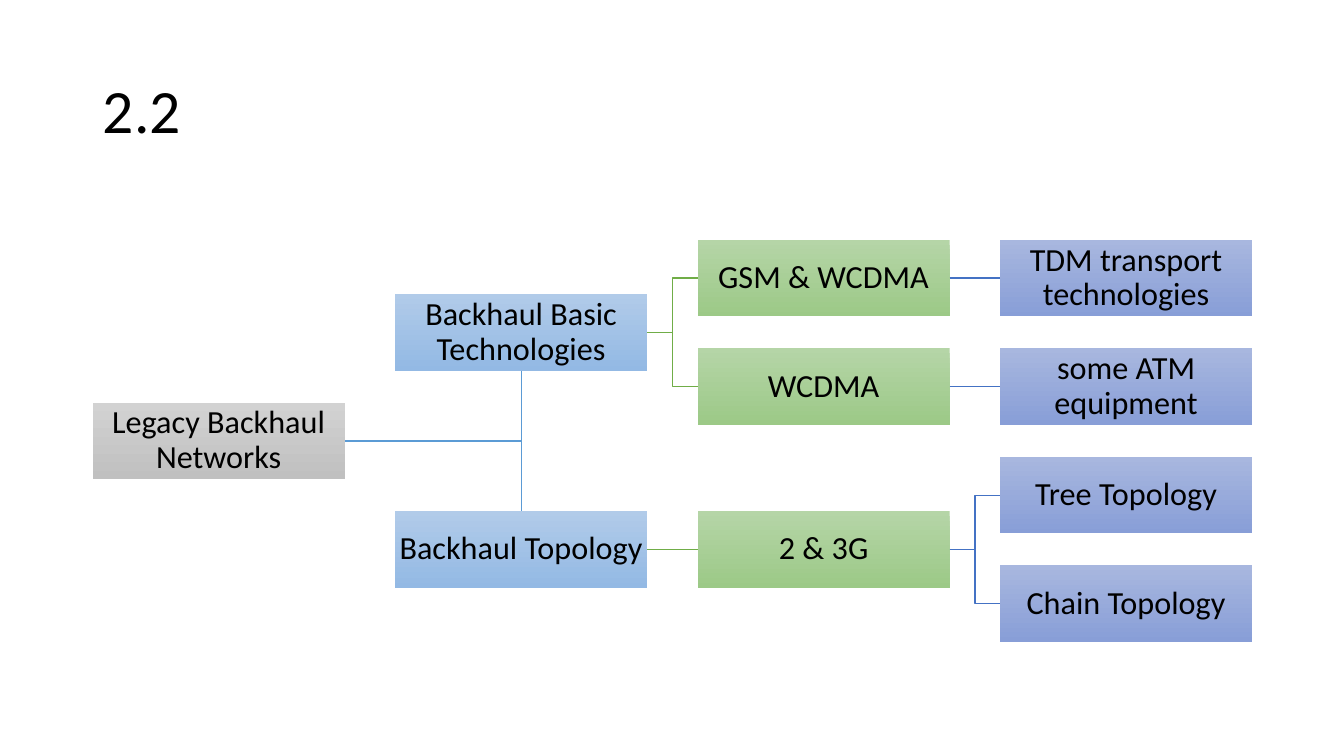
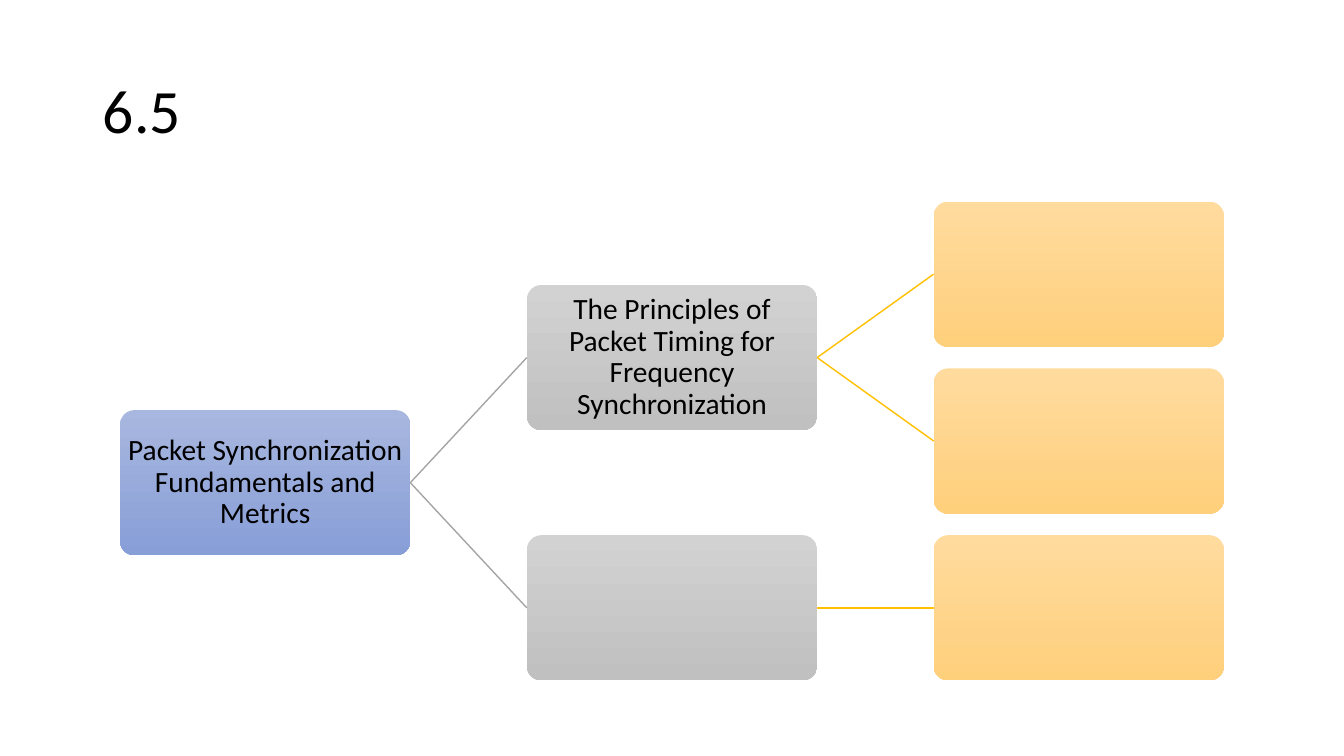
from dataclasses import dataclass

from lxml.etree import SubElement
from pptx import Presentation
from pptx.dml.color import RGBColor
from pptx.enum.shapes import MSO_CONNECTOR as LINK, MSO_SHAPE as SHAPE
from pptx.enum.text import MSO_ANCHOR as ANCHOR, PP_ALIGN as ALIGN
from pptx.oxml.ns import qn
from pptx.util import Inches, Pt

FONT = "Calibri"
COLORS = {
    "text": "000000",
    "blue_line": "5B9BD5",
    "green_line": "70AD47",
    "indigo_line": "4472C4",
    "gray_line": "A5A5A5",
    "gold_line": "FFC000",
}
GRADIENTS = {
    "gray": ("D2D2D2", "C0C0C0"),
    "blue": ("B1CBE9", "93B9E4"),
    "green": ("B5D5A7", "9CC987"),
    "indigo": ("A8B7DF", "889ED7"),
    "gold": ("FFDB9E", "FFD07C"),
}
TOP, LEFT, BOTTOM, RIGHT = range(4)


@dataclass
class Tree:
    first: tuple
    last: tuple
    steps: tuple
    size: tuple
    outline: SHAPE
    inset: float
    text_size: int

    def place(self, *cell):
        return [
            Inches(start + index * (end - start) / steps)
            for start, end, steps, index in zip(self.first, self.last, self.steps, cell)
        ]


TOPOLOGY = Tree((0.92, 2.38), (9.92, 5.61), (3, 3), (2.5, 0.76), SHAPE.RECTANGLE, 0.02, 23)
TIMING = Tree((1.19, 2), (9.26, 5.31), (2, 2), (2.88, 1.44), SHAPE.ROUNDED_RECTANGLE, 0.01, 21)


def rgb(name):
    return RGBColor.from_string(COLORS[name])


def write(frame, text, size, align):
    frame.word_wrap = True
    frame.vertical_anchor = ANCHOR.MIDDLE
    paragraph = frame.paragraphs[0]
    paragraph.alignment = align
    paragraph.line_spacing = 0.9
    run = paragraph.add_run()
    run.text = text
    run.font.name = FONT
    run.font.size = Pt(size)
    run.font.color.rgb = rgb("text")


def add_titled_slide(deck, heading):
    slide = deck.slides.add_slide(deck.slide_layouts[5])
    title = slide.shapes.title
    title.left, title.top = Inches(0.92), Inches(0.4)
    title.width, title.height = Inches(11.5), Inches(1.45)
    write(title.text_frame, heading, 44, ALIGN.LEFT)
    return slide


def add_node(slide, tree, column, row, gradient, text=""):
    width, height = map(Inches, tree.size)
    node = slide.shapes.add_shape(tree.outline, *tree.place(column, row), width, height)
    if tree.outline == SHAPE.ROUNDED_RECTANGLE:
        node.adjustments[0] = 0.1
    node.shadow.inherit = False
    node.line.fill.background()
    node.fill.gradient()
    node.fill.gradient_angle = 270
    for stop, color in zip(node.fill.gradient_stops, GRADIENTS[gradient]):
        stop.color.rgb = RGBColor.from_string(color)
    if text:
        frame = node.text_frame
        frame.margin_left = frame.margin_right = Inches(tree.inset)
        frame.margin_top = frame.margin_bottom = Inches(tree.inset)
        write(frame, text, tree.text_size, ALIGN.CENTER)
    return node


def add_line(slide, color, kind=LINK.STRAIGHT, end=(0, 0)):
    line = slide.shapes.add_connector(kind, 0, 0, *end)
    line.line.color.rgb = rgb(color)
    line.line.width = Pt(1)
    SubElement(line._element.spPr, qn("a:effectLst"))
    return line


def join(slide, parent, children, color, bent=False):
    for child in children:
        kind = LINK.ELBOW if bent and child.top != parent.top else LINK.STRAIGHT
        line = add_line(slide, color, kind)
        line.begin_connect(parent, RIGHT)
        line.end_connect(child, LEFT)


def add_trunk(slide, root, upper, lower, color):
    trunk = add_line(slide, color)
    trunk.begin_connect(upper, BOTTOM)
    trunk.end_connect(lower, TOP)
    middle = upper.left + upper.width // 2, root.top + root.height // 2
    branch = add_line(slide, color, end=middle)
    branch.begin_connect(root, RIGHT)


def build_backhaul(deck):
    slide = add_titled_slide(deck, "2.2")

    def node(*details):
        return add_node(slide, TOPOLOGY, *details)

    legacy = node(0, 1.5, "gray", "Legacy Backhaul Networks")
    technologies = node(1, 0.5, "blue", "Backhaul Basic Technologies")
    topology = node(1, 2.5, "blue", "Backhaul Topology")
    gsm = node(2, 0, "green", "GSM & WCDMA")
    wcdma = node(2, 1, "green", "WCDMA")
    generations = node(2, 2.5, "green", "2 & 3G")
    tdm, atm, tree, chain = [
        node(3, row, "indigo", text)
        for row, text in enumerate(
            ("TDM transport technologies", "some ATM equipment", "Tree Topology", "Chain Topology")
        )
    ]
    add_trunk(slide, legacy, technologies, topology, "blue_line")
    for parent, children, color in (
        (technologies, (gsm, wcdma), "green_line"),
        (topology, (generations,), "green_line"),
        (gsm, (tdm,), "indigo_line"),
        (wcdma, (atm,), "indigo_line"),
        (generations, (tree, chain), "indigo_line"),
    ):
        join(slide, parent, children, color, bent=True)


def build_synchronization(deck):
    slide = add_titled_slide(deck, "6.5")

    def node(*details):
        return add_node(slide, TIMING, *details)

    metrics = node(0, 1.25, "indigo", "Packet Synchronization Fundamentals and Metrics")
    principles = node(
        1, 0.5, "gray", "The Principles of Packet Timing for Frequency Synchronization"
    )
    open_topic = node(1, 2, "gray")
    details = [node(2, row, "gold") for row in range(3)]
    join(slide, metrics, (principles, open_topic), "gray_line")
    join(slide, principles, details[:2], "gold_line")
    join(slide, open_topic, details[2:], "gold_line")


def main():
    deck = Presentation()
    deck.slide_width, deck.slide_height = Inches(13.33), Inches(7.5)
    build_backhaul(deck)
    build_synchronization(deck)
    deck.save("out.pptx")


if __name__ == "__main__":
    main()
